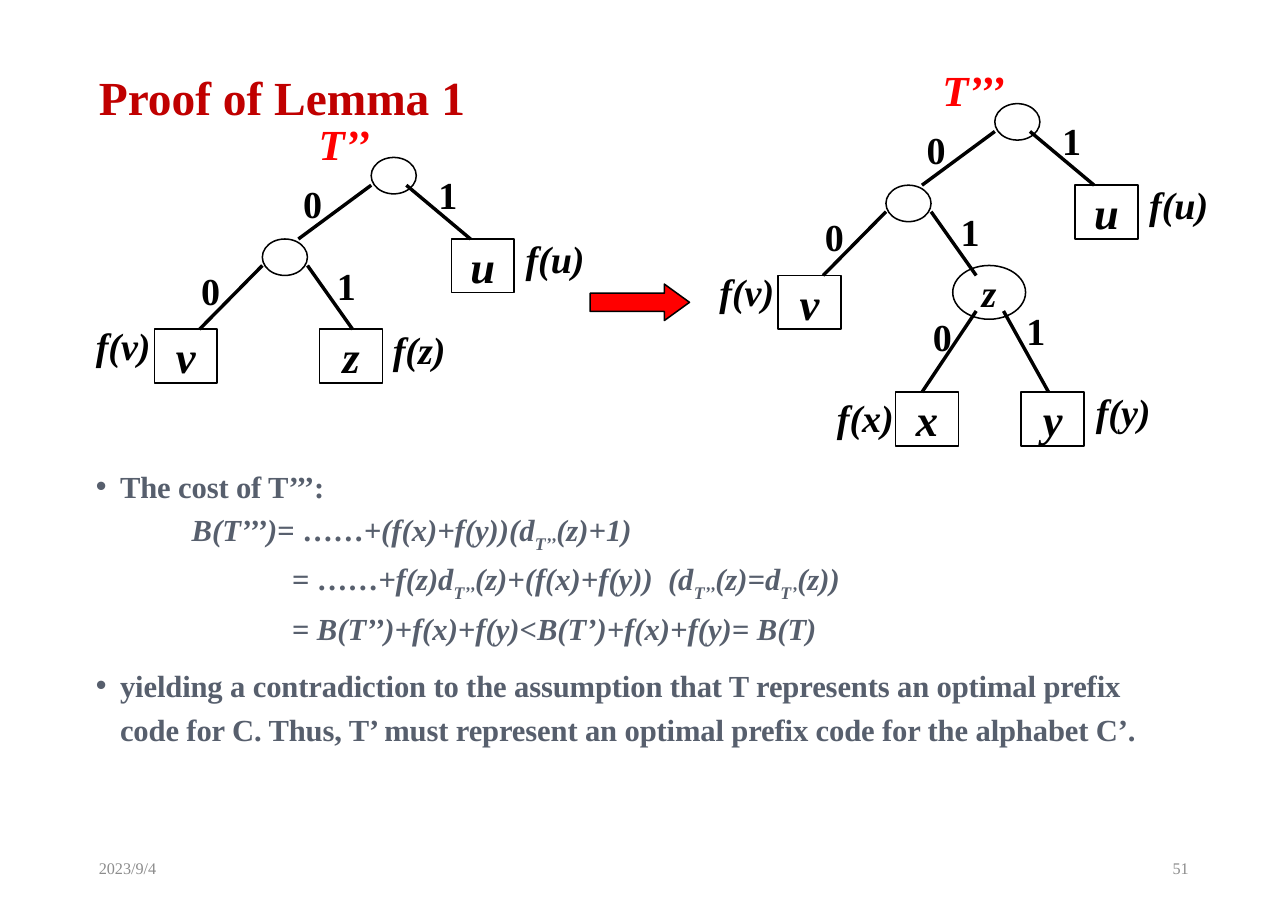
from lxml.etree import SubElement
from pptx import Presentation
from pptx.dml.color import RGBColor
from pptx.enum.shapes import MSO_CONNECTOR, MSO_SHAPE
from pptx.enum.text import MSO_ANCHOR, PP_ALIGN
from pptx.oxml.ns import qn
from pptx.util import Cm, Pt

THEME = {
    "font": "Times New Roman",
    "title": {"size": 31, "color": "C00000", "bold": True},
    "body": {"size": 20, "color": "575F6D", "bold": True},
    "footer": {"size": 10.6, "color": "8C8C8C"},
    "tree": {"size": 28, "color": "FF0000", "bold": True, "italic": True},
    "leaf": {"size": 29.1, "color": "000000", "bold": True, "italic": True},
    "bit": {"size": 24.9, "color": "000000", "bold": True},
    "frequency": {"size": 24.9, "color": "000000", "bold": True, "italic": True},
    "line": "000000",
    "arrow": "FF0000",
}

LEAF = (1.45, 1.24)
NODE = (1.04, 0.84)
LARGE_NODE = (1.68, 1.24)
NAME_LABEL = (2.2, 1.45)
BIT_LABEL = (0.97, 1.32)
FREQUENCY_LABEL = (2.05, 1.32)

SHARED = {
    "leaves": [("u", 1.85, 1.88), ("v", -5, 3.96)],
    "nodes": [("", 0, 0, NODE), ("", -2.51, 1.88, NODE)],
    "edges": [
        (0, 0.64, -1.68, 1.88),
        (0.81, 0.64, 2.29, 1.88),
        (-2.51, 2.49, -3.96, 3.96),
        (-1.47, 2.49, -0.43, 3.96),
    ],
    "bits": [("0", -1.82, 0.41), ("0", -4.17, 2.41), ("1", -1.04, 2.29), ("1", 1.3, 0.2)],
    "frequencies": [("f(v)", -6.6, 3.67), ("f(u)", 3.31, 1.67)],
}
TREES = [
    {
        "name": "T’’",
        "root": (8.56, 3.63),
        "leaves": [("z", -1.19, 3.96)],
        "nodes": [],
        "edges": [],
        "bits": [],
        "frequencies": [("f(z)", 0.25, 3.76)],
    },
    {
        "name": "T’’’",
        "root": (22.94, 2.39),
        "leaves": [("x", -2.29, 6.65), ("y", 0.61, 6.65)],
        "nodes": [("z", -0.97, 3.73, LARGE_NODE)],
        "edges": [(-0.43, 4.78, -1.68, 6.65), (0.2, 4.78, 1.24, 6.65)],
        "bits": [("0", -1.68, 4.7), ("1", 0.48, 4.57)],
        "frequencies": [("f(x)", -3.89, 6.58), ("f(y)", 2.08, 6.45)],
    },
]

PLAIN, ITALIC, SUB = "plain", "italic", "sub"
BULLET = {"margin": 0.56, "indent": -0.56, "bullet": True,
          "format": {"line_spacing": 1.2, "space_before": Pt(8.8)}}
FORMULA = {"margin": 2.21, "indent": 0, "bullet": False,
           "format": {"space_before": Pt(4)}}
FORMULA_NEXT = {**FORMULA, "margin": 4.52}
BODY = [
    (BULLET, [("The cost of T’’’:", PLAIN)]),
    (FORMULA, [("B(T’’’)= ", ITALIC), ("……", PLAIN), ("+(f(x)+f(y))(d", ITALIC),
               ("T’’", SUB), ("(z)+1)", ITALIC)]),
    (FORMULA_NEXT, [("= ", ITALIC), ("……", PLAIN), ("+f(z)d", ITALIC), ("T’’", SUB),
                    ("(z)+(f(x)+f(y))  (d", ITALIC), ("T’’", SUB), ("(z)=d", ITALIC),
                    ("T’", SUB), ("(z))", ITALIC)]),
    (FORMULA_NEXT, [("= B(T’’)+f(x)+f(y)<B(T’)+f(x)+f(y)= B(T)", ITALIC)]),
    (BULLET, [("yielding a contradiction to the assumption that T represents an optimal "
               "prefix code for C. Thus, T’ must represent an optimal prefix code for "
               "the alphabet C’.", PLAIN)]),
]
TITLE = ("Proof of Lemma 1", (2.03, 0.66, 25.45, 3.3))
BODY_BOX = (1.96, 10.49, 25.45, 7.77)
FOOTERS = [
    ("2023/9/4", (2.03, 19.46, 6.68, 1.12), PP_ALIGN.LEFT),
    ("51", (20.98, 19.46, 6.68, 1.12), PP_ALIGN.RIGHT),
]
ARROW_BOX = (13.61, 6.55, 2.29, 0.84)


def set_values(target, values):
    for name, value in values.items():
        setattr(target, name, value)


def add_run(paragraph, text, style):
    run = paragraph.add_run()
    run.text = text
    values = {"name": THEME["font"], **THEME[style]}
    run.font.color.rgb = RGBColor.from_string(values.pop("color"))
    values["size"] = Pt(values["size"])
    set_values(run.font, values)
    return run


def fill_text(shape, text, style, wrap=True, anchor=MSO_ANCHOR.TOP, align=PP_ALIGN.LEFT):
    frame = shape.text_frame
    set_values(frame, {"word_wrap": wrap, "vertical_anchor": anchor})
    paragraph = frame.paragraphs[0]
    paragraph.alignment = align
    add_run(paragraph, text, style)
    return paragraph


def add_text(slide, box, text, style, **layout):
    shape = slide.shapes.add_textbox(*map(Cm, box))
    return fill_text(shape, text, style, **layout)


def add_outline(slide, kind, box, fill=None):
    shape = slide.shapes.add_shape(kind, *map(Cm, box))
    shape.shadow.inherit = False
    if fill:
        shape.fill.solid()
        shape.fill.fore_color.rgb = RGBColor.from_string(fill)
    else:
        shape.fill.background()
    shape.line.color.rgb = RGBColor.from_string(THEME["line"])
    shape.line.width = Pt(1)
    return shape


def add_edge(slide, ends):
    edge = slide.shapes.add_connector(MSO_CONNECTOR.STRAIGHT, *map(Cm, ends))
    edge.line.color.rgb = RGBColor.from_string(THEME["line"])
    edge.line.width = Pt(2.25)
    SubElement(edge._element.spPr, qn("a:effectLst"))


def add_tree(slide, tree):
    left, top = tree["root"]
    parts = {name: SHARED[name] + tree[name] for name in SHARED}
    centred = {"wrap": False, "anchor": MSO_ANCHOR.MIDDLE, "align": PP_ALIGN.CENTER}
    for text, x, y in parts["leaves"]:
        leaf = add_outline(slide, MSO_SHAPE.RECTANGLE, (left + x, top + y, *LEAF))
        fill_text(leaf, text, "leaf", **centred)
    for text, x, y, size in parts["nodes"]:
        node = add_outline(slide, MSO_SHAPE.OVAL, (left + x, top + y, *size))
        if text:
            fill_text(node, text, "frequency", **centred)
    for x1, y1, x2, y2 in parts["edges"]:
        add_edge(slide, (left + x1, top + y1, left + x2, top + y2))
    add_text(slide, (left - 1.46, top - 1.04, *NAME_LABEL), tree["name"], "tree")
    for text, x, y in parts["bits"]:
        add_text(slide, (left + x, top + y, *BIT_LABEL), text, "bit")
    for text, x, y in parts["frequencies"]:
        add_text(slide, (left + x, top + y, *FREQUENCY_LABEL), text, "frequency")


def add_body(slide):
    frame = slide.shapes.add_textbox(*map(Cm, BODY_BOX)).text_frame
    frame.word_wrap = True
    for index, (layout, runs) in enumerate(BODY):
        paragraph = frame.add_paragraph() if index else frame.paragraphs[0]
        set_values(paragraph, layout["format"])
        properties = paragraph._p.get_or_add_pPr()
        properties.set("marL", str(Cm(layout["margin"])))
        properties.set("indent", str(Cm(layout["indent"])))
        if layout["bullet"]:
            SubElement(properties, qn("a:buFont"), typeface="Arial")
            SubElement(properties, qn("a:buChar"), char="•")
        for text, kind in runs:
            run = add_run(paragraph, text, "body")
            run.font.italic = kind != PLAIN
            if kind == SUB:
                run._r.get_or_add_rPr().set("baseline", "-30000")
            if layout["bullet"]:
                run._r.get_or_add_rPr().set("spc", "-10")


def main():
    presentation = Presentation()
    set_values(presentation, {"slide_width": Cm(29.7), "slide_height": Cm(21)})
    slide = presentation.slides.add_slide(presentation.slide_layouts[6])
    for text, box, align in FOOTERS:
        add_text(slide, box, text, "footer", anchor=MSO_ANCHOR.MIDDLE, align=align)
    text, box = TITLE
    title = add_text(slide, box, text, "title", anchor=MSO_ANCHOR.MIDDLE)
    title.line_spacing = 0.9
    add_body(slide)
    arrow = add_outline(slide, MSO_SHAPE.RIGHT_ARROW, ARROW_BOX, THEME["arrow"])
    arrow.adjustments[1] = 0.69
    for tree in TREES:
        add_tree(slide, tree)
    presentation.save("out.pptx")


if __name__ == "__main__":
    main()
